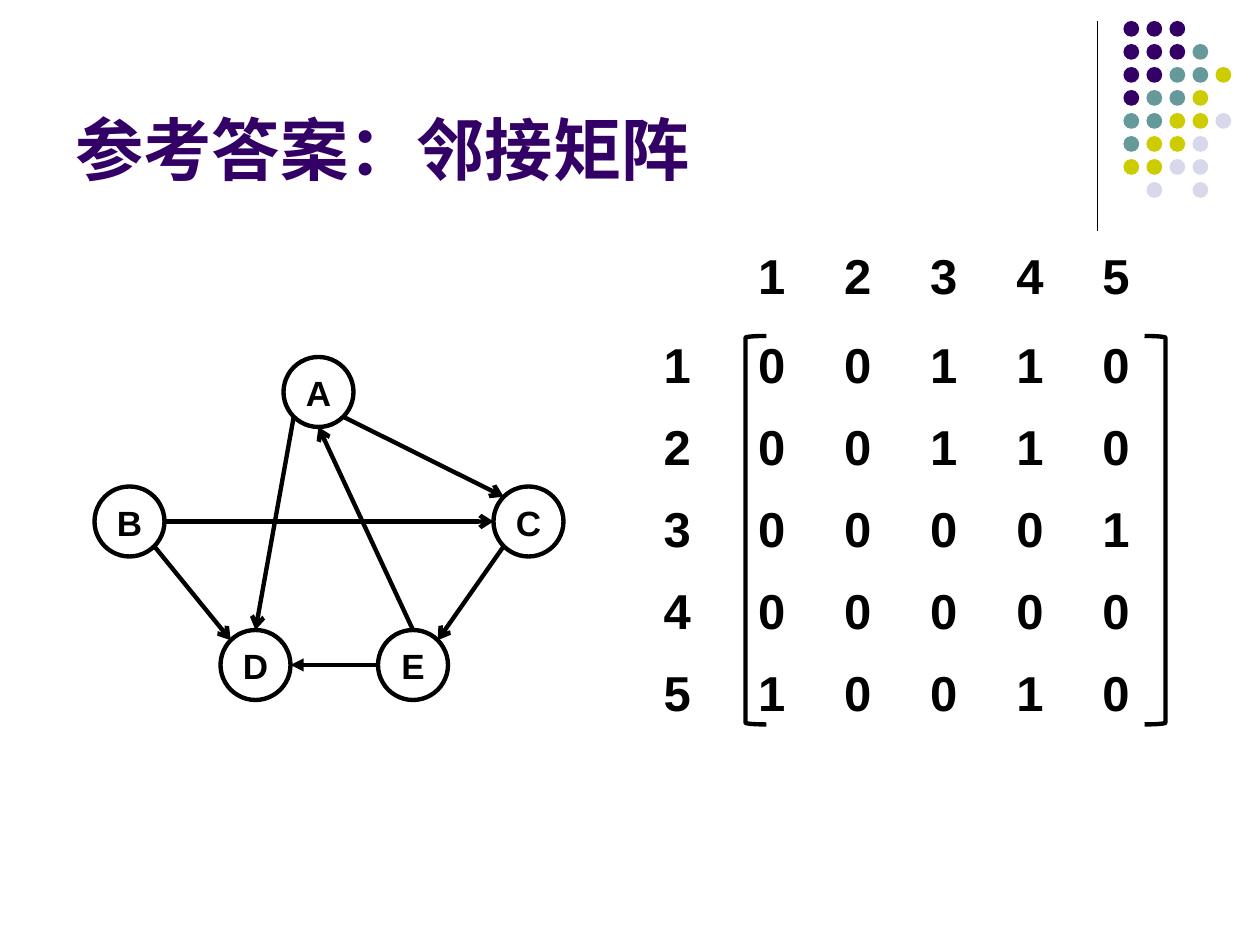
from math import cos, radians, sin

from lxml import etree
from pptx import Presentation
from pptx.dml.color import RGBColor
from pptx.enum.shapes import MSO_CONNECTOR, MSO_SHAPE
from pptx.enum.text import MSO_ANCHOR, PP_ALIGN
from pptx.oxml.ns import qn
from pptx.util import Pt

STRAIGHT = MSO_CONNECTOR.STRAIGHT
ELLIPSE = MSO_SHAPE.OVAL
LEFT_BRACKET, RIGHT_BRACKET = MSO_SHAPE.LEFT_BRACKET, MSO_SHAPE.RIGHT_BRACKET
TOP, MIDDLE, BOTTOM = MSO_ANCHOR.TOP, MSO_ANCHOR.MIDDLE, MSO_ANCHOR.BOTTOM
LEFT, CENTER = PP_ALIGN.LEFT, PP_ALIGN.CENTER

BLACK = RGBColor(0x00, 0x00, 0x00)
PURPLE = RGBColor(0x33, 0x00, 0x66)
TEAL = RGBColor(0x66, 0x99, 0x99)
OLIVE = RGBColor(0xCC, 0xCC, 0x00)
LAVENDER = RGBColor(0xD8, 0xD8, 0xEC)
FONT = "Arial"
STROKE = 2.5

# Corner dots, one letter per dot
DOT_COLORS = {"P": PURPLE, "T": TEAL, "O": OLIVE, "L": LAVENDER}
DOT_ROWS = ["PPP", "PPPT", "PPTTO", "PTTO", "TTOOL", "TOOL", "OOLL", " L L"]
DOT_SIZE, DOT_STEP = 9, 13.15

# Graph: top left corner of each node, and edges with the angles
# (clockwise from the right) at which they leave and reach the circles
NODE_SIZE = 40
NODES = {"E": (216, 360), "D": (126, 360), "C": (282, 278),
         "B": (54, 278), "A": (162, 204)}
EDGES = [
    ("E", 180, "D", 0, "triangle"),
    ("B", 0, "C", 180, "arrow"),
    ("A", 135, "D", 270, "arrow"),
    ("E", 270, "A", 90, "arrow"),
    ("A", 45, "C", 225, "arrow"),
    ("C", 135, "E", 315, "arrow"),
    ("B", 45, "D", 225, "arrow"),
]

ADJACENCY = ["00110", "00110", "00001", "00000", "10010"]
VERTICES = "12345"
MATRIX_LEFT, MATRIX_TOP = 426, 186
COLUMN_WIDTH, ROW_HEIGHT = 49.2, 46.8


def set_font(paragraph, size, color):
    font = paragraph.font
    font.name, font.size, font.bold = FONT, Pt(size), True
    font.color.rgb = color


def add_text(slide, text, box, size, color, align, anchor):
    frame = slide.shapes.add_textbox(*map(Pt, box)).text_frame
    frame.word_wrap = True
    frame.vertical_anchor = anchor
    paragraph = frame.paragraphs[0]
    paragraph.text, paragraph.alignment = text, align
    set_font(paragraph, size, color)


def add_outline(slide, kind, box):
    outline = slide.shapes.add_shape(kind, *map(Pt, box))
    outline.shadow.inherit = False
    outline.fill.background()
    outline.line.color.rgb = BLACK
    outline.line.width = Pt(STROKE)


def add_dot(slide, left, top, color):
    dot = slide.shapes.add_shape(
        ELLIPSE, Pt(left), Pt(top), Pt(DOT_SIZE), Pt(DOT_SIZE))
    dot.shadow.inherit = False
    dot.fill.solid()
    dot.fill.fore_color.rgb = color
    dot.line.fill.background()


def add_line(slide, start, end, width, arrowhead=None):
    line = slide.shapes.add_connector(STRAIGHT, *map(Pt, (*start, *end)))
    line.line.color.rgb = BLACK
    line.line.width = Pt(width)
    if arrowhead:
        etree.SubElement(line.line._get_or_add_ln(), qn("a:tailEnd"),
                         type=arrowhead)
    etree.SubElement(line._element.spPr, qn("a:effectLst"))


def add_node(slide, name, left, top):
    label_width = 51
    label_left = left - (label_width - NODE_SIZE) / 2
    add_text(slide, name, (label_left, top + 5, label_width, 32),
             20, BLACK, CENTER, TOP)
    add_outline(slide, ELLIPSE, (left, top, NODE_SIZE, NODE_SIZE))


def rim_point(name, angle):
    left, top = NODES[name]
    radius = NODE_SIZE / 2
    return (left + radius * (1 + cos(radians(angle))),
            top + radius * (1 + sin(radians(angle))))


def add_white_borders(cell):
    properties = cell._tc.get_or_add_tcPr()
    for side in ("lnL", "lnR", "lnT", "lnB"):
        border = etree.SubElement(properties, qn(f"a:{side}"),
                                  w=str(Pt(0.45)))
        fill = etree.SubElement(border, qn("a:solidFill"))
        etree.SubElement(fill, qn("a:srgbClr"), val="FFFFFF")


def add_digits(slide, rows, left, top, column_width, row_height):
    width, height = column_width * len(rows[0]), row_height * len(rows)
    table = slide.shapes.add_table(
        len(rows), len(rows[0]), Pt(left), Pt(top), Pt(width), Pt(height)).table
    table.first_row = table.horz_banding = False
    for column in table.columns:
        column.width = Pt(column_width)
    for row, digits in zip(table.rows, rows):
        row.height = Pt(row_height)
        for cell, digit in zip(row.cells, digits):
            cell.text = digit
            cell.vertical_anchor = MIDDLE
            add_white_borders(cell)
            cell.fill.background()
            set_font(cell.text_frame.paragraphs[0], 28, BLACK)


def main():
    prs = Presentation()
    prs.slide_width, prs.slide_height = Pt(720), Pt(540)
    slide = prs.slides.add_slide(prs.slide_layouts[6])

    # Corner decoration
    add_line(slide, (627, 12), (627, 132), 0.75)
    for row, letters in enumerate(DOT_ROWS):
        for column, letter in enumerate(letters):
            if letter in DOT_COLORS:
                add_dot(slide, 642 + column * DOT_STEP, 12 + row * DOT_STEP,
                        DOT_COLORS[letter])

    # Title
    add_text(slide, "参考答案：邻接矩阵", (36, 9.5, 594, 102),
             39, PURPLE, LEFT, BOTTOM)

    # Directed graph
    for name, (left, top) in NODES.items():
        add_node(slide, name, left, top)
    for source, leave, target, reach, arrowhead in EDGES:
        add_line(slide, rim_point(source, leave), rim_point(target, reach),
                 STROKE, arrowhead)

    # Adjacency matrix with row and column numbers
    add_digits(slide, ADJACENCY, MATRIX_LEFT, MATRIX_TOP,
               COLUMN_WIDTH, ROW_HEIGHT)
    add_digits(slide, list(VERTICES), 372, MATRIX_TOP, 24, ROW_HEIGHT)
    add_digits(slide, [VERTICES], MATRIX_LEFT, 138, COLUMN_WIDTH, 41)

    # Matrix brackets
    for kind, left in ((LEFT_BRACKET, MATRIX_LEFT), (RIGHT_BRACKET, 654)):
        add_outline(slide, kind, (left, MATRIX_TOP + 6, 12, 222))

    prs.save("out.pptx")


if __name__ == "__main__":
    main()
